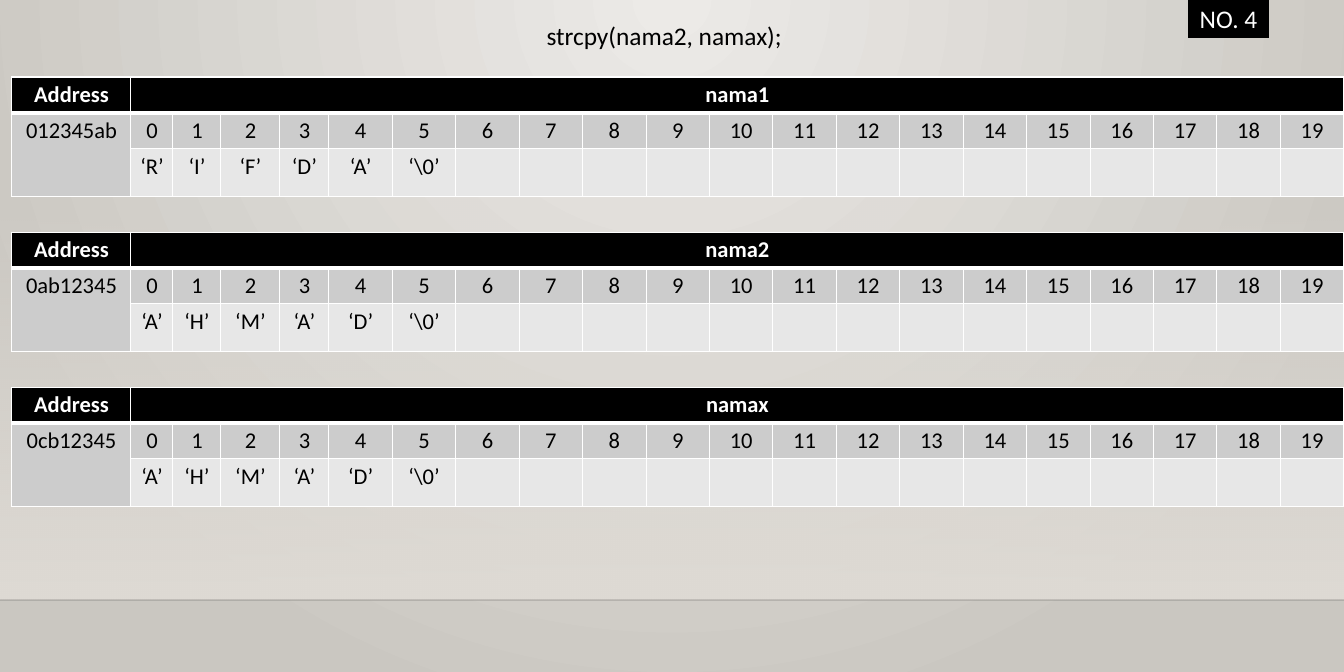
from lxml.etree import SubElement
from pptx import Presentation
from pptx.dml.color import RGBColor as RGB
from pptx.enum.shapes import MSO_CONNECTOR as CONN, MSO_SHAPE as SHAPE
from pptx.enum.text import MSO_ANCHOR as ANCHOR, MSO_AUTO_SIZE as FIT, PP_ALIGN as ALIGN
from pptx.oxml.ns import qn
from pptx.util import Pt

PX = 10716  # EMU in one px
COLORS = {
    "glow": "ECEAE7", "wall": "CAC7C1", "floor": "DFDBD5", "edge": "000001",
    "black": "000000", "white": "FFFFFF", "index": "CCCCCC", "value": "E7E7E7",
}
CELLS = 20
LEFT, TOP, PITCH = 12, 77, 155
ROWS = [36, 36, 48]
FIRST_COLS = [119, 42, 48, 59, 49]  # address and cells 0 to 3
ARRAYS = [
    ("nama1", "012345ab", "RIFDA"),
    ("nama2", "0ab12345", "AHMAD"),
    ("namax", "0cb12345", "AHMAD"),
]


def style_text(p, size, color, align=ALIGN.CENTER, bold=False):
    p.alignment = align
    for r in p.runs:
        r.font.name, r.font.size, r.font.bold = "Calibri", Pt(size), bold
        r.font.color.rgb = RGB.from_string(COLORS[color])


def style_cell(cell, row, fill):
    tcPr = cell._tc.get_or_add_tcPr()
    for side in "LRTB":
        thick = (row, side) in [(0, "B"), (1, "T")]
        ln = SubElement(tcPr, qn("a:ln" + side), w=str(Pt(3 if thick else 1)))
        SubElement(SubElement(ln, qn("a:solidFill")), qn("a:srgbClr"), val=COLORS["white"])
    cell.fill.solid()
    cell.fill.fore_color.rgb = RGB.from_string(COLORS[fill])


prs = Presentation()
prs.slide_width, prs.slide_height = 1344 * PX, 672 * PX
s = prs.slides.add_slide(prs.slide_layouts[5])

# Background: glow spreading from the top centre
fill = s.background.fill
fill.gradient()
for stop, name in zip(fill.gradient_stops, ["glow", "wall"]):
    stop.color.rgb = RGB.from_string(COLORS[name])
lin = s.background._cSld.find(".//" + qn("a:lin"))
grad = lin.getparent()
grad.remove(lin)
circle = SubElement(grad, qn("a:path"))
circle.set("path", "circle")
SubElement(circle, qn("a:fillToRect"), l="43000", t="0", r="43000", b="100000")

# Floor fading in downwards
sp = s.shapes.add_shape(SHAPE.RECTANGLE, 0, 198 * PX, 1344 * PX, 402 * PX)
sp.shadow.inherit = False
sp.line.fill.background()
sp.fill.gradient()
sp.fill.gradient_angle = 270
for stop in sp.fill.gradient_stops:
    stop.color.rgb = RGB.from_string(COLORS["floor"])
clear = sp._element.spPr.find(".//" + qn("a:srgbClr"))
SubElement(clear, qn("a:alpha"), val="0")

# Floor edge
edge = s.shapes.add_connector(CONN.STRAIGHT, 0, 600 * PX, 1344 * PX, 600 * PX)
edge.line.width = Pt(1)
edge.line.color.rgb = RGB.from_string(COLORS["edge"])
spPr = edge._element.spPr
SubElement(spPr.find(".//" + qn("a:srgbClr")), qn("a:alpha"), val="20000")
SubElement(spPr, qn("a:effectLst"))

# Title
title = s.shapes.title
title.left, title.top, title.width, title.height = 538 * PX, 16 * PX, 389 * PX, 39 * PX
tf = title.text_frame
tf.text = "strcpy(nama2, namax);"
tf.auto_size, tf.word_wrap, tf.vertical_anchor = FIT.NONE, True, ANCHOR.TOP
style_text(tf.paragraphs[0], 21.4, "black", ALIGN.LEFT)

# Number tag
tag = s.shapes.add_shape(SHAPE.RECTANGLE, 1188 * PX, -1 * PX, 81 * PX, 39 * PX)
tag.shadow.inherit = False
tag.fill.solid()
tag.fill.fore_color.rgb = RGB.from_string(COLORS["black"])
tag.line.fill.background()
tf = tag.text_frame
tf.text = "NO. 4"
tf.word_wrap, tf.vertical_anchor = False, ANCHOR.MIDDLE
style_text(tf.paragraphs[0], 21.4, "white")

# One memory table per array
width = 1344 - LEFT
equal = (width - sum(FIRST_COLS)) * PX // (CELLS + 1 - len(FIRST_COLS))
for i, (name, address, letters) in enumerate(ARRAYS):
    table = s.shapes.add_table(3, CELLS + 1, LEFT * PX, (TOP + i * PITCH) * PX,
                               width * PX, sum(ROWS) * PX).table
    for row, height in zip(table.rows, ROWS):
        row.height = height * PX
    for c, col in enumerate(table.columns):
        col.width = FIRST_COLS[c] * PX if c < len(FIRST_COLS) else equal

    values = [f"‘{ch}’" for ch in letters] + [r"‘\0’"]
    texts = [
        ["Address", name],
        [address] + [str(n) for n in range(CELLS)],
        [""] + values,
    ]
    for r, fill_name in enumerate(["black", "index", "value"]):
        for c in range(CELLS + 1):
            cell = table.cell(r, c)
            style_cell(cell, r, fill_name)
            if c < len(texts[r]) and texts[r][c]:
                cell.text_frame.text = texts[r][c]
                style_text(cell.text_frame.paragraphs[0], 19,
                           "white" if r == 0 else "black", bold=r == 0)
    table.cell(0, 1).merge(table.cell(0, CELLS))
    table.cell(1, 0).merge(table.cell(2, 0))

prs.save("out.pptx")
